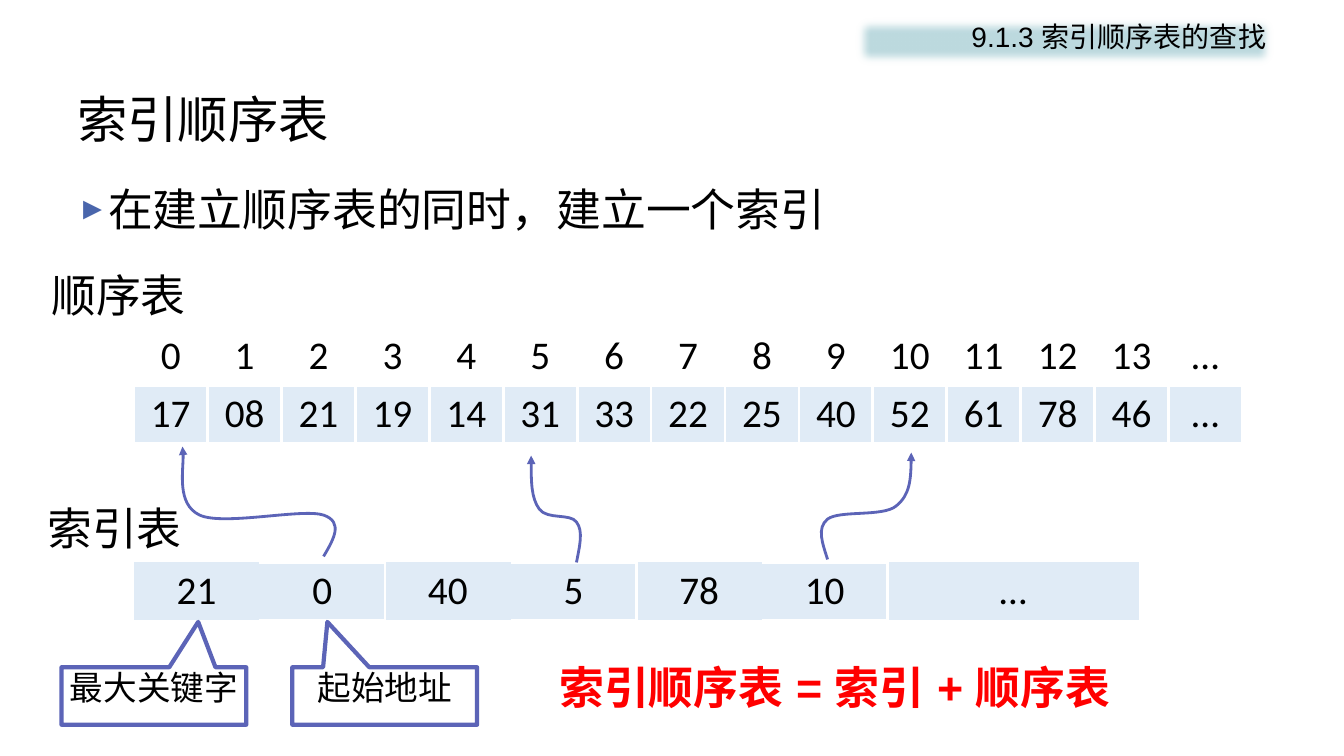
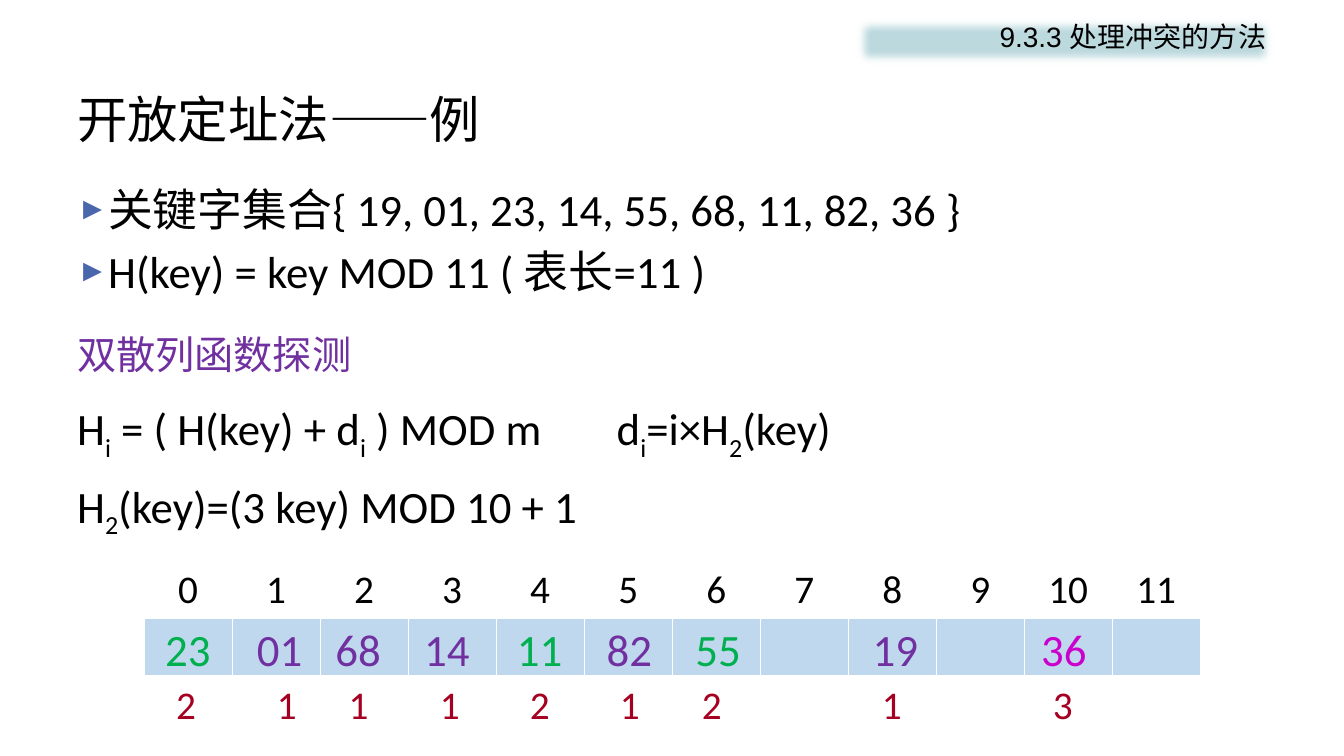
from dataclasses import dataclass

from lxml.etree import SubElement
from pptx import Presentation
from pptx.dml.color import RGBColor
from pptx.enum.shapes import MSO_SHAPE
from pptx.enum.text import MSO_ANCHOR, PP_ALIGN
from pptx.oxml.ns import qn
from pptx.util import Emu, Inches, Pt

SLIDE_W, SLIDE_H = Inches(13.33), Inches(7.5)
COLUMNS, ROWS = 40, 30
NO_STYLE_TABLE = "{2D5ABB26-0587-4C30-8999-92F81FD0307C}"
ALL_SIDES = ("lnL", "lnR", "lnT", "lnB")


@dataclass(frozen=True)
class Theme:
    # Colours
    ink: str = "000000"
    paper: str = "FFFFFF"
    band: str = "BDDADF"
    bullet: str = "4A66AC"
    outline: str = "5C64B7"
    pale_cell: str = "E0EBF6"
    blue_cell: str = "C0D8ED"
    alert: str = "FF0000"
    purple: str = "7030A0"
    green: str = "00B050"
    magenta: str = "CC00CC"
    count: str = "A50021"
    # Fonts
    cjk: str = "Noto Sans CJK SC"
    sans: str = "Arial"
    body: str = "Calibri"
    serif: str = "Times New Roman"
    # Type sizes
    title_size: int = 36
    body_size: int = 32
    cell_size: int = 28
    callout_size: int = 24
    band_size: int = 20


THEME = Theme()


# Grid and formatting helpers
def col(n):
    return Emu(round(SLIDE_W * n / COLUMNS))


def row(n):
    return Emu(round(SLIDE_H * n / ROWS))


def grid_box(left, top, width, height):
    return col(left), row(top), col(width), row(height)


def rgb(value):
    return RGBColor.from_string(value)


def style_run(run, size, font, color=THEME.ink, bold=False):
    run.font.size = Pt(size)
    run.font.bold = bold
    run.font.color.rgb = rgb(color)
    run.font.name = font
    # Chinese text stays sans serif beside a serif Latin font
    east_asian = THEME.sans if font == THEME.serif else font
    SubElement(run.font._element, qn("a:ea")).set("typeface", east_asian)


def write(paragraph, text, size, font, color=THEME.ink, bold=False, align=PP_ALIGN.LEFT):
    paragraph.text = text
    paragraph.alignment = align
    for run in paragraph.runs:
        style_run(run, size, font, color, bold)


# Text elements
def add_text(slide, box, text, size=THEME.body_size, font=THEME.body,
             color=THEME.ink, bold=False, anchor=MSO_ANCHOR.TOP, wrap=True):
    frame = slide.shapes.add_textbox(*grid_box(*box)).text_frame
    frame.word_wrap = wrap
    frame.vertical_anchor = anchor
    write(frame.paragraphs[0], text, size, font, color, bold)
    return frame


def add_formula(slide, box, formula):
    """The character after each underscore is a subscript."""
    head, *tails = formula.split("_")
    paragraph = add_text(slide, box, head).paragraphs[0]
    for tail in tails:
        for text, baseline in ((tail[0], -25000), (tail[1:], 0)):
            run = paragraph.add_run()
            run.text = text
            style_run(run, THEME.body_size, THEME.body)
            run.font._element.set("baseline", str(baseline))


def add_bullets(slide, lines, font):
    frame = add_text(slide, (2, 7, 36, 3.44 * len(lines)), lines[0], font=font)
    for line in lines[1:]:
        paragraph = frame.add_paragraph()
        write(paragraph, line, THEME.body_size, font)
        paragraph.space_before = Pt(0.2 * THEME.body_size)
    for paragraph in frame.paragraphs:
        props = paragraph._p.get_or_add_pPr()
        props.set("marL", str(Inches(0.28)))
        props.set("indent", str(-Inches(0.28)))
        color = SubElement(props, qn("a:buClr"))
        SubElement(color, qn("a:srgbClr")).set("val", THEME.bullet)
        SubElement(props, qn("a:buSzPct")).set("val", "70000")
        SubElement(props, qn("a:buFont")).set("typeface", THEME.sans)
        SubElement(props, qn("a:buChar")).set("char", "►")


def add_tabbed_row(slide, box, entries, centers, color):
    """The first entry starts the line, the others are centred on tab stops."""
    frame = add_text(slide, box, "\t".join(entries), THEME.cell_size, color=color)
    tabs = SubElement(frame.paragraphs[0]._p.get_or_add_pPr(), qn("a:tabLst"))
    text_left = col(box[0]) + frame.margin_left
    for center in centers:
        tab = SubElement(tabs, qn("a:tab"))
        tab.set("pos", str(col(center) - text_left))
        tab.set("algn", "ctr")


# Shapes
def add_band(slide, section):
    band = slide.shapes.add_shape(MSO_SHAPE.RECTANGLE, *grid_box(25.38, 0.56, 12.6, 2.16))
    band.fill.solid()
    band.fill.fore_color.rgb = rgb(THEME.band)
    band.line.fill.background()
    band.shadow.inherit = False
    effects = band._element.spPr.find(qn("a:effectLst"))
    SubElement(effects, qn("a:softEdge")).set("rad", str(Pt(7)))
    band.text_frame.vertical_anchor = MSO_ANCHOR.TOP
    write(band.text_frame.paragraphs[0], section, THEME.band_size, THEME.sans,
          align=PP_ALIGN.RIGHT)


def add_callout(slide, left, text, pointer):
    callout = slide.shapes.add_shape(
        MSO_SHAPE.RECTANGULAR_CALLOUT, *grid_box(left, 26.48, 5.5, 2.28))
    callout.adjustments[0], callout.adjustments[1] = pointer, -1.29
    callout.fill.solid()
    callout.fill.fore_color.rgb = rgb(THEME.paper)
    callout.line.color.rgb = rgb(THEME.outline)
    callout.line.width = Pt(3)
    callout.shadow.inherit = False
    frame = callout.text_frame
    frame.margin_left = frame.margin_right = frame.margin_top = frame.margin_bottom = 0
    frame.vertical_anchor = MSO_ANCHOR.TOP
    write(frame.paragraphs[0], text, THEME.callout_size, THEME.cjk, align=PP_ALIGN.CENTER)


def add_curved_arrow(slide, points):
    """A start point, then three Bézier points for each segment."""
    start, *others = [(round(x * 100), round(y * 100)) for x, y in points]
    builder = slide.shapes.build_freeform(*start, scale=(col(1) / 100, row(1) / 100))
    builder.add_line_segments(others, close=False)
    arrow = builder.convert_to_shape()
    outline = next(arrow._element.iter(qn("a:path")))
    steps = outline.findall(qn("a:lnTo"))
    for first in range(0, len(steps), 3):
        curve = SubElement(outline, qn("a:cubicBezTo"))
        for step in steps[first:first + 3]:
            curve.append(step[0])
            outline.remove(step)
    arrow.fill.background()
    arrow.line.color.rgb = rgb(THEME.outline)
    arrow.line.width = Pt(2)
    arrow.shadow.inherit = False
    SubElement(arrow.line._ln, qn("a:tailEnd")).set("type", "triangle")


# Tables
def set_border(cell, sides, width):
    props = cell._tc.get_or_add_tcPr()
    for index, side in enumerate(sides):
        line = props.makeelement(qn(f"a:{side}"), {"w": str(Pt(width))})
        fill = SubElement(line, qn("a:solidFill"))
        SubElement(fill, qn("a:srgbClr")).set("val", THEME.paper)
        props.insert(index, line)


def add_grid(slide, left, top, column_widths, row_count, row_height=2.3):
    width, height = sum(column_widths), row_height * row_count
    table = slide.shapes.add_table(
        row_count, len(column_widths), *grid_box(left, top, width, height)).table
    table.first_row = table.horz_banding = False
    table._tbl.tblPr.find(qn("a:tableStyleId")).text = NO_STYLE_TABLE
    for column, span in zip(table.columns, column_widths):
        column.width = col(span)
    return table


def fill_cell(cell, text, fill=None, sides=ALL_SIDES, border=2.25):
    if fill:
        cell.fill.solid()
        cell.fill.fore_color.rgb = rgb(fill)
    else:
        cell.fill.background()
    set_border(cell, sides, border)
    cell.margin_top = cell.margin_bottom = 0
    cell.vertical_anchor = MSO_ANCHOR.MIDDLE
    write(cell.text_frame.paragraphs[0], text, THEME.cell_size, THEME.body,
          align=PP_ALIGN.CENTER)


# Slides
def start_slide(deck, section, title):
    slide = deck.slides.add_slide(deck.slide_layouts[6])
    add_band(slide, section)
    add_text(slide, (2, 3.2, 36, 3), title, THEME.title_size, THEME.cjk,
             anchor=MSO_ANCHOR.MIDDLE)
    return slide


def build_index_slide(deck):
    slide = start_slide(deck, "9.1.3 索引顺序表的查找", "索引顺序表")
    add_bullets(slide, ["在建立顺序表的同时，建立一个索引"], THEME.serif)

    # Sequential list under its positions
    add_text(slide, (1.23, 10.44, 5.5, 2.56), "顺序表", font=THEME.serif)
    keys = "17 08 21 19 14 31 33 22 25 40 52 61 78 46 …".split()
    positions = [*map(str, range(len(keys) - 1)), "…"]
    sequence = add_grid(slide, 3.98, 13, [2.2] * len(keys), 2)
    for i, (position, key) in enumerate(zip(positions, keys)):
        fill_cell(sequence.cell(0, i), position)
        fill_cell(sequence.cell(1, i), key, THEME.pale_cell)

    # Index: pairs of largest key and start address, divided after each pair
    add_text(slide, (1.11, 19.68, 5.5, 2.56), "索引表", font=THEME.serif)
    entries = ["21", "0", "40", "5", "78", "10", "…"]
    index = add_grid(slide, 3.98, 22.32, [3.74] * 6 + [7.48], 1)
    for i, entry in enumerate(entries):
        sides = ("lnR", "lnT", "lnB") if i % 2 else ()
        fill_cell(index.cell(0, i), entry, THEME.pale_cell, sides)

    # Labels of the first pair
    add_callout(slide, 1.83, "最大关键字", 0.24)
    add_callout(slide, 8.7, "起始地址", -0.31)

    # From each start address to its block
    for points in (
        [(9.63, 22.08), (9.93, 21.4), (10.23, 20.72), (9.63, 20.44), (9, 20.16),
         (6.66, 20.88), (5.94, 20.44), (5.25, 20), (5.52, 18.2), (5.43, 17.72)],
        [(17.16, 22.32), (17.25, 21.68), (17.37, 21.08), (17.16, 20.72), (16.98, 20.36),
         (16.29, 20.64), (16.05, 20.2), (15.81, 19.76), (15.81, 18.92), (15.81, 18.08)],
        [(24.63, 22.2), (24.48, 21.56), (24.3, 20.96), (24.63, 20.6), (24.99, 20.24),
         (26.28, 20.52), (26.67, 20.08), (27.09, 19.64), (27.12, 18.8), (27.12, 17.96)],
    ):
        add_curved_arrow(slide, points)

    add_text(slide, (16.35, 26, 18.45, 2.56), "索引顺序表 = 索引 + 顺序表",
             font=THEME.sans, color=THEME.alert, bold=True)


def build_hash_slide(deck):
    slide = start_slide(deck, "9.3.3 处理冲突的方法", "开放定址法——例")
    add_bullets(slide, ["关键字集合{ 19, 01, 23, 14, 55, 68, 11, 82, 36 }",
                        "H(key) = key MOD 11 ( 表长=11 )"], THEME.body)

    # Probing rule
    add_text(slide, (2, 12.92, 10, 2.28), "双散列函数探测", THEME.cell_size,
             THEME.sans, THEME.purple)
    add_formula(slide, (2, 15.72, 16, 2.56), "H_i = ( H(key) + d_i ) MOD m")
    add_formula(slide, (18.06, 15.72, 9.27, 2.56), "d_i=i×H_2(key)")
    add_formula(slide, (2, 18.8, 16, 2.56), "H_2(key)=(3 key) MOD 10 + 1")

    # Empty hash table under its addresses
    address_count = 12
    hash_table = add_grid(slide, 4.29, 22.28, [2.62] * address_count, 2, 2.27)
    for address in range(address_count):
        fill_cell(hash_table.cell(0, address), str(address), border=1)
        fill_cell(hash_table.cell(1, address), "", THEME.blue_cell, border=1)

    # Keys placed in the table: key, left edge, probes, centre of the probe count
    placements = [("23", 4.62, 1 + 1, 5.54), ("01", 7.35, 1, 8.54), ("68", 9.69, 1, 10.68),
                  ("14", 12.33, 1, 13.39), ("11", 15.09, 2, 16.07), ("82", 17.76, 1, 18.75),
                  ("55", 20.4, 2, 21.19), ("19", 25.68, 1, 26.55), ("36", 30.69, 3, 31.64)]
    probe_colors = {1: THEME.purple, 2: THEME.green, 3: THEME.magenta}
    for key, left, probes, _ in placements:
        add_text(slide, (left, 24.48, 1.98, 2.56), key, color=probe_colors[probes],
                 wrap=False)
    add_tabbed_row(slide, (4.95, 26.8, 30.75, 2.28),
                   [str(probes) for _, _, probes, _ in placements],
                   [center for *_, center in placements[1:]], THEME.count)


def main():
    deck = Presentation()
    deck.slide_width, deck.slide_height = SLIDE_W, SLIDE_H
    build_index_slide(deck)
    build_hash_slide(deck)
    deck.save("out.pptx")


if __name__ == "__main__":
    main()
